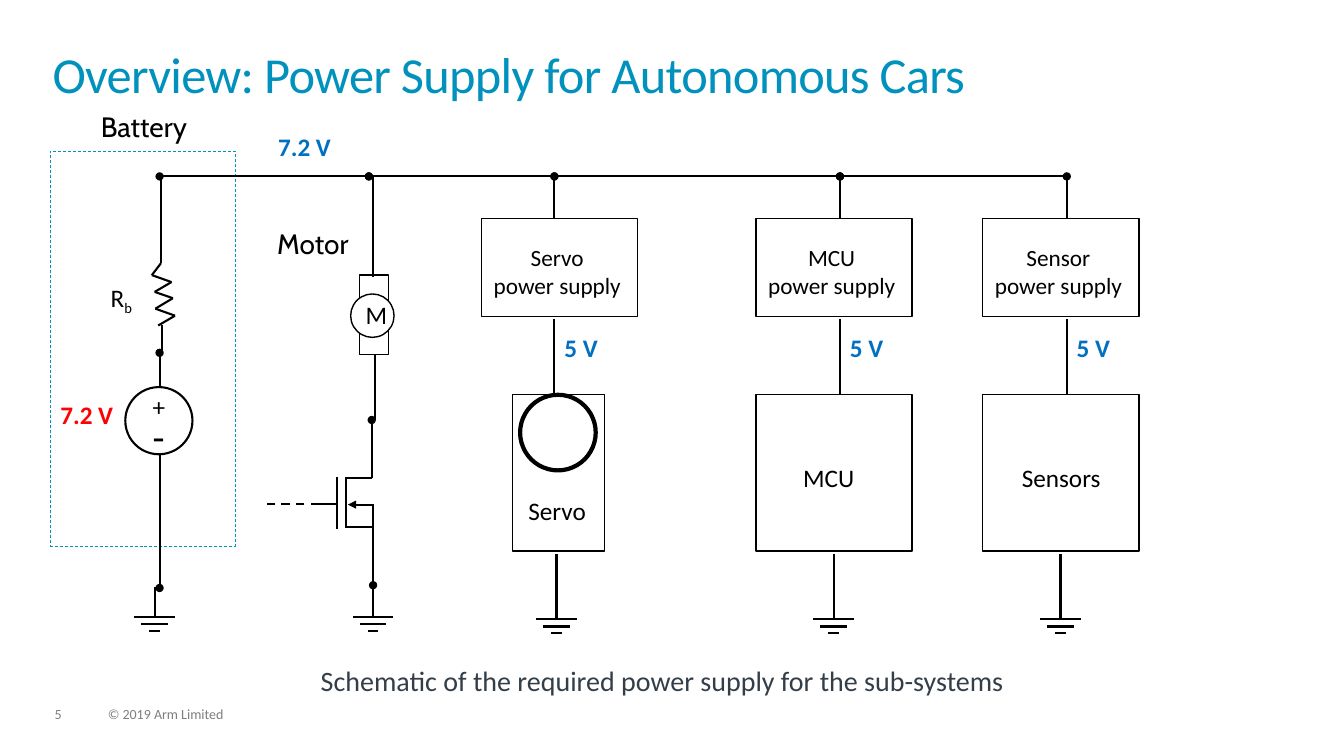
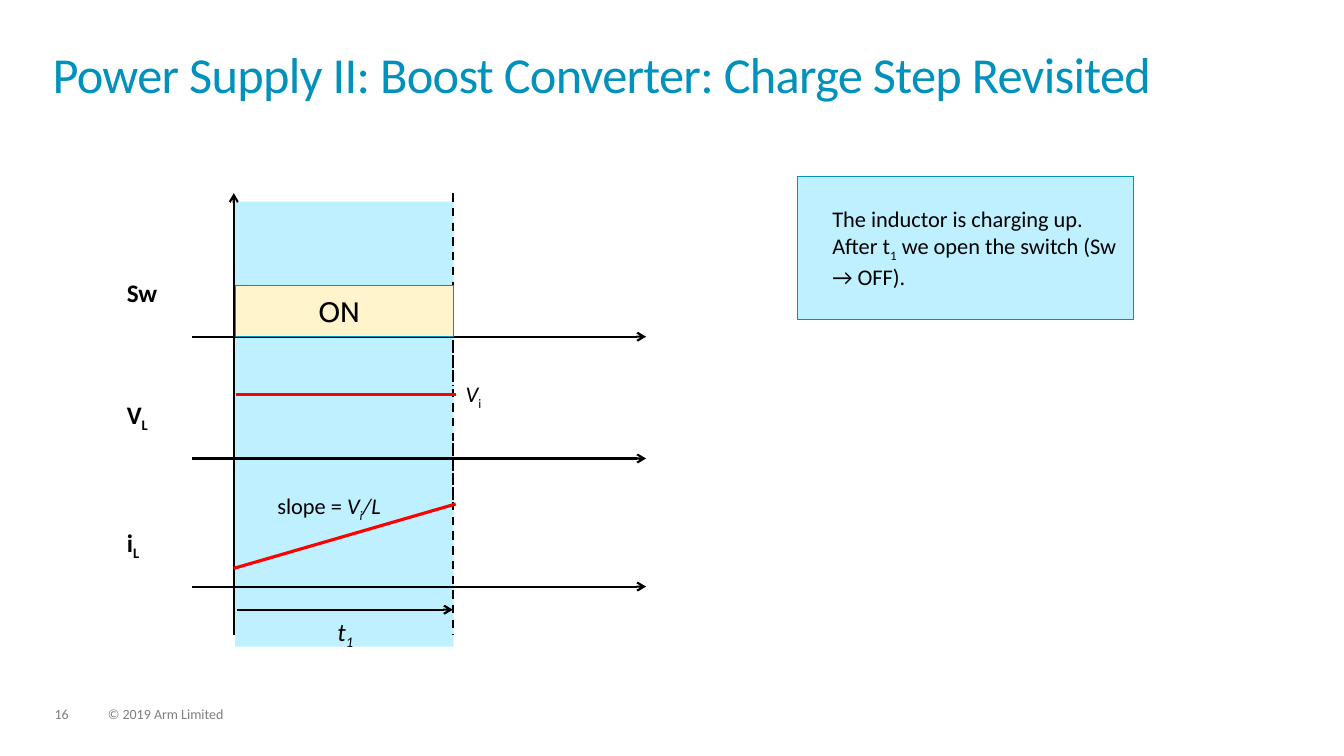
"""Build two lecture slides on power supplies: a system schematic and boost converter waveforms."""
from dataclasses import dataclass
from itertools import pairwise
from typing import NamedTuple

from lxml.etree import SubElement
from pptx import Presentation
from pptx.dml.color import RGBColor
from pptx.enum.dml import MSO_LINE_DASH_STYLE as Dash
from pptx.enum.shapes import MSO_CONNECTOR as Link, MSO_SHAPE as Preset
from pptx.enum.text import MSO_ANCHOR as Anchor, MSO_AUTO_SIZE as Fit, PP_ALIGN as Align
from pptx.oxml.ns import qn
from pptx.util import Pt

COLORS = {
    "black": "000000", "white": "FFFFFF", "teal": "0091BD", "slate": "333E48",
    "gray": "7F7F7F", "blue": "0070C0", "red": "FF0000", "sky": "BFF0FF", "cream": "FFF4CC",
}
PADDED = (7.2, 3.6, 7.2, 3.6)
FLUSH = (0, 0, 0, 0)


class Box(NamedTuple):
    left: float
    top: float
    width: float
    height: float


class Run(NamedTuple):
    text: str
    sub: bool = False
    italic: bool = False


@dataclass(frozen=True)
class Subsystem:
    supply: str
    load: str
    bus_x: float
    left: float
    load_box: Box
    load_label: tuple[float, float]
    ground_x: float


@dataclass(frozen=True)
class Waveform:
    symbol: list[Run]
    axis_y: float
    arrow: str | None = None


SUBSYSTEMS = [
    Subsystem("Servo", "Servo", 396, 344, Box(366, 282, 66, 111.5), (398, 354), 397.5),
    Subsystem("MCU", "MCU", 600, 540, Box(540, 282, 111.5, 111.5), (592, 330), 595.5),
    Subsystem("Sensor", "Sensors", 762, 702, Box(702, 282, 111.5, 111.5), (758, 330), 757.5),
]
WAVEFORMS = [
    Waveform([Run("Sw")], 240.5, "arrow"),
    Waveform([Run("V"), Run("L", sub=True)], 327.5),
    Waveform([Run("i"), Run("L", sub=True)], 419),
]


def rgb(name: str) -> RGBColor:
    """Look up a palette colour."""
    return RGBColor.from_string(COLORS[name])


def write(frame, text: str | list[Run], *, size: float = 18, font: str = "Calibri",
          color: str = "black", bold: bool = False, align=Align.LEFT, anchor=Anchor.TOP,
          inset: tuple = PADDED, leading: float | None = None, tracking: int = 0) -> None:
    """Fill a text frame; a newline starts a new paragraph."""
    frame.word_wrap = True
    frame.auto_size = Fit.NONE
    frame.vertical_anchor = anchor
    frame.margin_left, frame.margin_top, frame.margin_right, frame.margin_bottom = map(Pt, inset)
    paragraph = frame.paragraphs[0]
    for part in [Run(text)] if isinstance(text, str) else text:
        for index, line in enumerate(part.text.split("\n")):
            if index:
                paragraph = frame.add_paragraph()
            paragraph.alignment = align
            if leading:
                paragraph.line_spacing = leading
            run = paragraph.add_run()
            run.text = line
            run.font.size, run.font.name = Pt(size), font
            run.font.bold, run.font.italic = bold, part.italic
            run.font.color.rgb = rgb(color)
            properties = run._r.get_or_add_rPr()
            if part.sub:
                properties.set("baseline", "-25000")
            if tracking:
                properties.set("spc", str(tracking))


def label(slide, box: Box, text: str | list[Run], **style) -> None:
    """Place free-standing text."""
    write(slide.shapes.add_textbox(*map(Pt, box)).text_frame, text, **style)


def block(slide, box: Box, *, preset=Preset.RECTANGLE, fill: str | None = None,
          line: str | None = "black", width: float = 1, dash=None):
    """Draw a preset shape and return it."""
    shape = slide.shapes.add_shape(preset, *map(Pt, box))
    shape.shadow.inherit = False
    if fill:
        shape.fill.solid()
        shape.fill.fore_color.rgb = rgb(fill)
    else:
        shape.fill.background()
    if line:
        shape.line.color.rgb = rgb(line)
        shape.line.width = Pt(width)
        if dash:
            shape.line.dash_style = dash
    else:
        shape.line.fill.background()
    return shape


def wire(slide, *points: tuple[float, float], color: str = "black", width: float = 1.5,
         dash=None, head: str | None = None, tail: str | None = None) -> None:
    """Join successive points with straight connectors."""
    for start, end in pairwise(points):
        connector = slide.shapes.add_connector(Link.STRAIGHT, *map(Pt, (*start, *end)))
        connector.line.color.rgb = rgb(color)
        connector.line.width = Pt(width)
        if dash:
            connector.line.dash_style = dash
        for tag, kind in (("a:headEnd", head), ("a:tailEnd", tail)):
            if kind:
                SubElement(connector.get_or_add_ln(), qn(tag), type=kind)
        SubElement(connector._element.spPr, qn("a:effectLst"))


def ground(slide, x: float, top: float) -> None:
    """Draw an earth symbol hanging from a point."""
    wire(slide, (x, top), (x, top + 21))
    for drop, half in ((21, 14.5), (26.5, 9.5), (31, 3.75)):
        wire(slide, (x - half, top + drop), (x + half, top + drop))


def new_slide(deck, title: str, number: int):
    """Add a slide with its title and footer."""
    slide = deck.slides.add_slide(deck.slide_layouts[5])
    heading = slide.shapes.title
    heading.left, heading.top, heading.width, heading.height = map(Pt, (37.5, 37.5, 884, 52))
    write(heading.text_frame, title, size=36, color="teal", inset=FLUSH, leading=0.85, tracking=-50)
    for box, text in ((Box(39, 505, 24, 11), str(number)),
                      (Box(77, 505, 123, 11), "© 2019 Arm Limited")):
        label(slide, box, text, size=10, color="gray", inset=FLUSH, leading=0.9)
    return slide


def draw_battery(slide) -> None:
    """Draw the battery with its internal resistance."""
    label(slide, Box(72, 78, 102, 42), "Battery", size=20, font="Cabin", inset=FLUSH)
    block(slide, Box(36, 108, 132, 282), line="teal", width=0.5, dash=Dash.DASH)
    wire(slide, (115, 126), (115, 188), (108.5, 196.5), (122.5, 201.5), (110.5, 208.5),
         (123.5, 213), (111, 220.5), (125, 225.5), (113, 232.5))
    wire(slide, (116, 232), (116, 252))
    label(slide, Box(72, 198, 58, 29), [Run("R"), Run("b", sub=True)])
    block(slide, Box(89.5, 276.5, 48, 48), preset=Preset.OVAL, width=1.5)
    label(slide, Box(102, 276, 32, 29.5), "+")
    label(slide, Box(102, 291, 32, 41), "-", size=28)
    label(slide, Box(36, 282, 57, 29), "7.2 V", color="red", bold=True)
    wire(slide, (114, 276), (114, 252), tail="oval")
    wire(slide, (114, 324), (114, 420), tail="oval")
    ground(slide, 110.5, 419.5)


def draw_motor(slide) -> None:
    """Draw the motor and the transistor that drives it."""
    label(slide, Box(198, 162, 102, 42), "Motor", size=20, font="Cabin", inset=FLUSH)
    for top in (196.5, 232):
        block(slide, Box(257, top, 20.5, 21.5), fill="white")
    block(slide, Box(250.5, 210, 31, 31), preset=Preset.OVAL, fill="white")
    label(slide, Box(254, 210, 34, 29), "M")
    wire(slide, (266.5, 126), (266.5, 198))
    wire(slide, (268, 253.5), (268, 300))
    wire(slide, (265.5, 341.5), (265.5, 300), tail="oval")
    wire(slide, (265.5, 341.5), (247, 341.5))
    wire(slide, (247, 340.5), (247, 377))
    wire(slide, (247, 376.5), (266.5, 376.5))
    wire(slide, (267, 360.5), (248.5, 360.5), tail="triangle")
    wire(slide, (266.5, 361), (266.5, 418), tail="oval")
    wire(slide, (240.5, 340.5), (240.5, 378))
    wire(slide, (240.5, 360), (222.5, 360))
    wire(slide, (228, 360), (186, 360), dash=Dash.DASH)
    ground(slide, 266.5, 419.5)


def draw_subsystem(slide, unit: Subsystem) -> None:
    """Draw one regulated supply with its load."""
    block(slide, Box(unit.left, 156, 111.5, 70))
    label(slide, Box(unit.left, 174, 108, 40), f"{unit.supply}\npower supply",
          size=16.6, align=Align.CENTER, inset=FLUSH)
    wire(slide, (unit.bus_x, 126), (unit.bus_x, 156))
    wire(slide, (unit.bus_x, 228), (unit.bus_x, 282))
    label(slide, Box(unit.bus_x, 234, 57, 29), "5 V", color="blue", bold=True)
    block(slide, unit.load_box)
    center, top = unit.load_label
    label(slide, Box(center - 32, top, 64, 30), unit.load, align=Align.CENTER, inset=FLUSH)
    wire(slide, (unit.ground_x, 396), (unit.ground_x, 427))
    ground(slide, unit.ground_x, 421)


def build_overview(deck) -> None:
    """Build the schematic of the whole supply."""
    slide = new_slide(deck, "Overview: Power Supply for Autonomous Cars", 5)
    label(slide, Box(108, 474, 730, 42), "Schematic of the required power supply for the sub-systems",
          size=20, color="slate", align=Align.CENTER, inset=FLUSH)
    draw_battery(slide)
    draw_motor(slide)
    taps = [114, 263.5, *(unit.bus_x for unit in SUBSYSTEMS)]
    wire(slide, *((x, 126) for x in taps), head="oval", tail="oval")
    label(slide, Box(191.5, 90, 57, 29), "7.2 V", color="blue", bold=True)
    for unit in SUBSYSTEMS:
        draw_subsystem(slide, unit)
    block(slide, Box(371.5, 282, 54, 54), preset=Preset.OVAL, width=3)


def draw_waveform(slide, wave: Waveform) -> None:
    """Draw the axes and symbol of one waveform."""
    top, bottom = wave.axis_y - 102.5, wave.axis_y + 34.5
    label(slide, Box(83.5, wave.axis_y - 46, 54, 29), wave.symbol, bold=True)
    wire(slide, (323.5, top), (323.5, bottom), dash=Dash.DASH)
    wire(slide, (167, bottom), (167, top), tail=wave.arrow)
    wire(slide, (137.5, wave.axis_y), (461.5, wave.axis_y), tail="arrow")


def build_charge_step(deck) -> None:
    """Build the waveforms of the charge step."""
    slide = new_slide(deck, "Power Supply II: Boost Converter: Charge Step Revisited", 16)
    block(slide, Box(168, 144, 156, 318), fill="sky", line=None)
    for wave in WAVEFORMS:
        draw_waveform(slide, wave)
    wire(slide, (168.5, 282), (325.5, 282), color="red", width=2.25)
    wire(slide, (167, 406), (325.5, 360), color="red", width=2.25)
    label(slide, Box(325.5, 268, 54, 27), [Run("V", italic=True), Run("i", sub=True)], size=16)
    label(slide, Box(191, 348, 109, 27),
          [Run("slope = "), Run("V", italic=True), Run("i", sub=True, italic=True),
           Run("/L", italic=True)], size=16)
    label(slide, Box(234, 436.5, 83, 29),
          [Run("t", italic=True), Run("1", sub=True, italic=True)])
    wire(slide, (169, 435.5), (323.5, 435.5), tail="arrow")
    note = block(slide, Box(569.5, 126, 240, 102), fill="sky", line="teal", width=0.5)
    write(note.text_frame,
          [Run("The inductor is charging up. After t"), Run("1", sub=True),
           Run(" we open the switch (Sw → OFF).")],
          size=16, anchor=Anchor.MIDDLE, inset=(25, 0, 6.5, 0))
    switch_on = block(slide, Box(168, 204, 156, 36), fill="cream", line="teal", width=0.5)
    write(switch_on.text_frame, "ON", size=20, font="Cabin", anchor=Anchor.MIDDLE,
          inset=(59.5, 0, 0, 0))


def main() -> None:
    """Assemble and save the deck."""
    deck = Presentation()
    deck.slide_width, deck.slide_height = Pt(960), Pt(540)
    build_overview(deck)
    build_charge_step(deck)
    deck.save("out.pptx")


if __name__ == "__main__":
    main()
